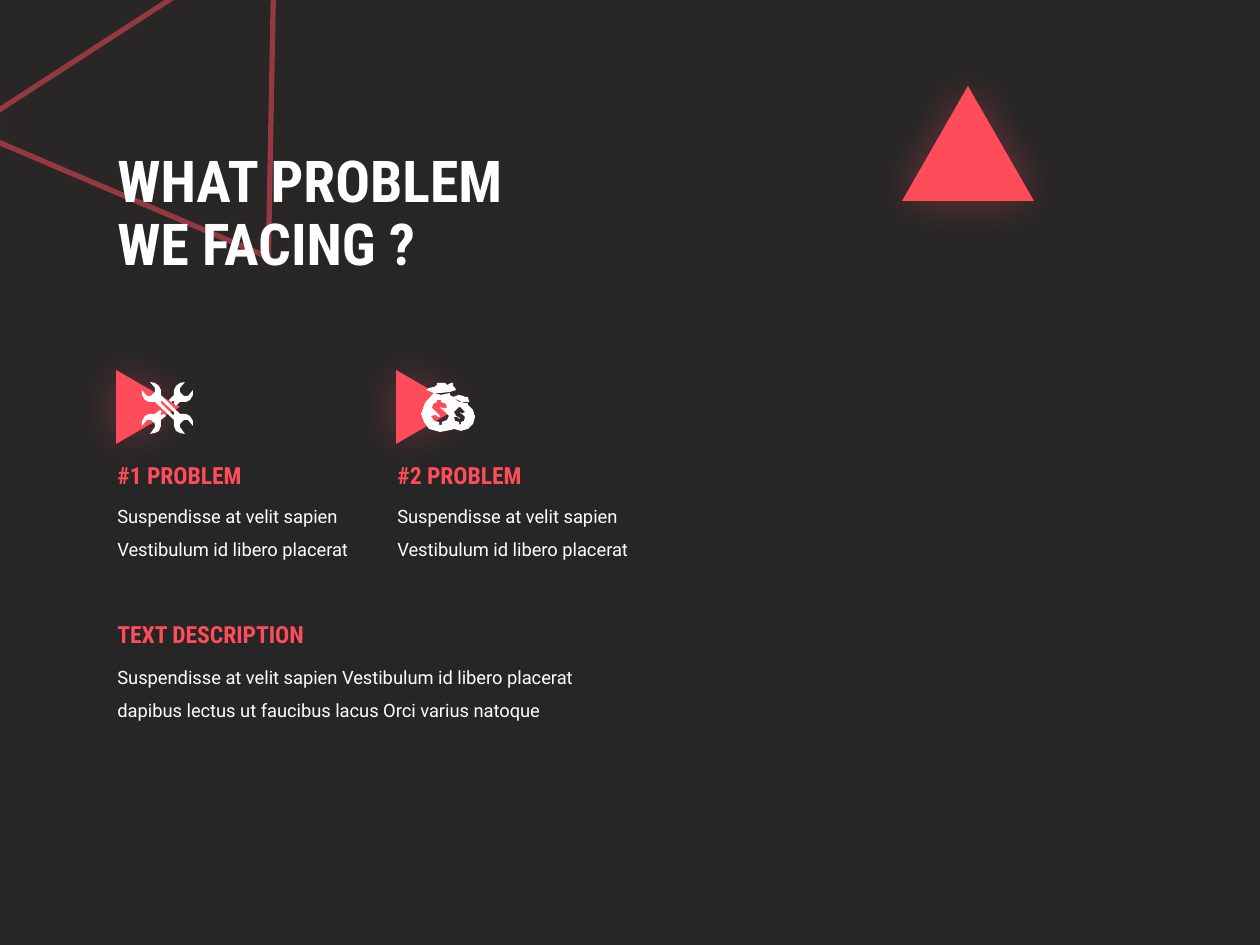
import pptx
import pptx.dml.color
import pptx.enum.shapes
import pptx.enum.text
import pptx.oxml
import pptx.oxml.ns
import pptx.util

SCALE = 914400 / 126
RED, WHITE, DARK = "FF4C5B", "FFFFFF", "262626"
HEADING = dict(font="Roboto Condensed", size=13.5, color=RED, bold=True)
BODY = dict(font="Roboto", size=10.5, color=WHITE, spacing=1.5)

# Each icon is a list of outlines; each outline is a list of closed contours.
WRENCHES = [
    [[(30, 20), (32, 19), (33, 19), (33, 21), (35, 24), (39, 20), (45, 20), (49, 18),
      (52, 13), (52, 8), (47, 14), (43, 14), (39, 10), (39, 6), (44, 0), (39, 1),
      (35, 4), (33, 8), (33, 13), (28, 18)]],
    [[(23, 32), (21, 33), (20, 33), (20, 30), (21, 30), (19, 28), (14, 32), (8, 32),
      (4, 34), (1, 39), (1, 44), (6, 38), (10, 38), (14, 42), (14, 45), (9, 52),
      (14, 51), (18, 49), (20, 44), (20, 38), (25, 34)]],
    [[(49, 34), (45, 32), (39, 32), (20, 13), (20, 8), (18, 4), (14, 1), (9, 0),
      (14, 6), (14, 10), (10, 14), (6, 14), (1, 8), (1, 13), (4, 18), (8, 20),
      (14, 20), (33, 38), (33, 44), (35, 49), (39, 51), (44, 52), (39, 45), (39, 42),
      (43, 38), (47, 38), (52, 44), (52, 39)],
     [(33, 33), (32, 33), (20, 21), (20, 19), (21, 19), (33, 30)]],
]
MONEY_BAGS = [
    [[(47, 23), (47, 21), (43, 21), (32, 16), (38, 20), (48, 20), (48, 19), (47, 16),
      (47, 15), (44, 15), (42, 14), (38, 13), (35, 14), (32, 15), (29, 13), (29, 11),
      (20, 13), (13, 11), (11, 13), (4, 21), (0, 32), (3, 40), (8, 47), (19, 50),
      (30, 48), (33, 47), (40, 49), (47, 47), (52, 42), (54, 35), (52, 28)],
     [(21, 40), (21, 43), (18, 43), (18, 40), (13, 39), (10, 34), (15, 33), (17, 35),
      (19, 35), (19, 34), (15, 30), (11, 26), (12, 22), (16, 20), (16, 18), (20, 18),
      (20, 20), (25, 22), (26, 26), (21, 26), (19, 25), (19, 26), (23, 29), (28, 34),
      (26, 38)],
     [(40, 40), (40, 42), (38, 43), (38, 40), (34, 39), (33, 35), (36, 35), (39, 37),
      (39, 36), (35, 34), (33, 30), (37, 26), (37, 25), (39, 25), (40, 26), (44, 30),
      (40, 32), (39, 30), (42, 33), (44, 35), (43, 39)]],
    [[(13, 11), (19, 11), (29, 10), (35, 8), (34, 6), (32, 4), (32, 1), (30, 1),
      (26, 3), (24, 1), (16, 1), (16, 3), (13, 5), (8, 6), (5, 8)]],
]


def px(length):
    return pptx.util.Emu(round(length * SCALE))


def rgb(code):
    return pptx.dml.color.RGBColor.from_string(code)


def add_text(page, box, text, *, font, size, color, bold=False, spacing=1.0, middle=False):
    frame = page.shapes.add_textbox(*map(px, box)).text_frame
    frame.word_wrap = True
    if middle:
        frame.vertical_anchor = pptx.enum.text.MSO_ANCHOR.MIDDLE
    para = frame.paragraphs[0]
    para.text = text
    para.line_spacing = spacing
    for span in para.runs:
        span.font.name = font
        span.font.size = pptx.util.Pt(size)
        span.font.bold = bold
        span.font.color.rgb = rgb(color)


def add_glow(shape):
    """Surround the shape with a soft red shadow."""
    shape.shadow.inherit = False
    effects = shape._element.spPr.find(pptx.oxml.ns.qn("a:effectLst"))
    effects.append(pptx.oxml.parse_xml(
        f'<a:outerShdw {pptx.oxml.ns.nsdecls("a")} blurRad="{pptx.util.Pt(25)}" dist="0" '
        f'algn="ctr" rotWithShape="0"><a:srgbClr val="{RED}"><a:alpha val="35000"/>'
        '</a:srgbClr></a:outerShdw>'))


def add_triangle(page, box, rotation=0, outlined=False):
    kind = pptx.enum.shapes.MSO_SHAPE.ISOSCELES_TRIANGLE
    shape = page.shapes.add_shape(kind, *map(px, box))
    shape.rotation = rotation
    if outlined:
        shape.fill.background()
        shape.line.width = pptx.util.Pt(3)
        shape.line.color.rgb = rgb(RED)
        color = shape.line._ln.find(".//" + pptx.oxml.ns.qn("a:srgbClr"))
        color.append(pptx.oxml.parse_xml(
            f'<a:alpha {pptx.oxml.ns.nsdecls("a")} val="50000"/>'))
    else:
        shape.fill.solid()
        shape.fill.fore_color.rgb = rgb(RED)
        shape.line.fill.background()
    add_glow(shape)


def add_icon(page, left, top, outlines):
    group = page.shapes.add_group_shape()
    for contours in outlines:
        builder = group.shapes.build_freeform(*contours[0][0], scale=SCALE)
        builder.add_line_segments(contours[0][1:], close=True)
        for hole in contours[1:]:
            builder.move_to(*hole[0])
            builder.add_line_segments(hole[1:], close=True)
        shape = builder.convert_to_shape(px(left), px(top))
        shape.fill.solid()
        shape.fill.fore_color.rgb = rgb(WHITE)
        shape.line.fill.background()
        shape.shadow.inherit = False


def add_header(page, left, top):
    add_triangle(page, (left - 92, top - 107, 364, 270), rotation=147.1, outlined=True)
    add_text(page, (left, top, 532, 199), "WHAT PROBLEM\vWE FACING ?",
             font="Roboto Condensed", size=33, color=WHITE, bold=True,
             spacing=0.9, middle=True)


def add_problem(page, left, top, heading, outlines, icon_offset):
    add_triangle(page, (left + 6, top, 74, 64), rotation=90)
    add_text(page, (left, top + 113, 265, 76),
             "Suspendisse at velit sapien Vestibulum id libero placerat", **BODY)
    add_text(page, (left, top + 80, 209, 42), heading, **HEADING)
    add_icon(page, left + icon_offset, top + 7, outlines)


def add_description(page, left, top):
    add_text(page, (left, top + 35, 485, 76),
             "Suspendisse at velit sapien Vestibulum id libero placerat "
             "dapibus lectus ut faucibus lacus Orci varius natoque", **BODY)
    add_text(page, (left, top, 232, 42), "TEXT DESCRIPTION", **HEADING)


def main():
    deck = pptx.Presentation()
    deck.slide_width, deck.slide_height = px(1260), px(945)
    page = deck.slides.add_slide(deck.slide_layouts[6])
    page.background.fill.solid()
    page.background.fill.fore_color.rgb = rgb(DARK)

    margin = 105
    add_header(page, margin, 116)
    add_triangle(page, (902, 86, 132, 115))
    problems = [("#1 PROBLEM", WRENCHES, 36), ("#2 PROBLEM", MONEY_BAGS, 36)]
    for column, problem in enumerate(problems):
        add_problem(page, margin + 280 * column, 375, *problem)
    add_description(page, margin, 614)
    deck.save("out.pptx")


if __name__ == "__main__":
    main()
